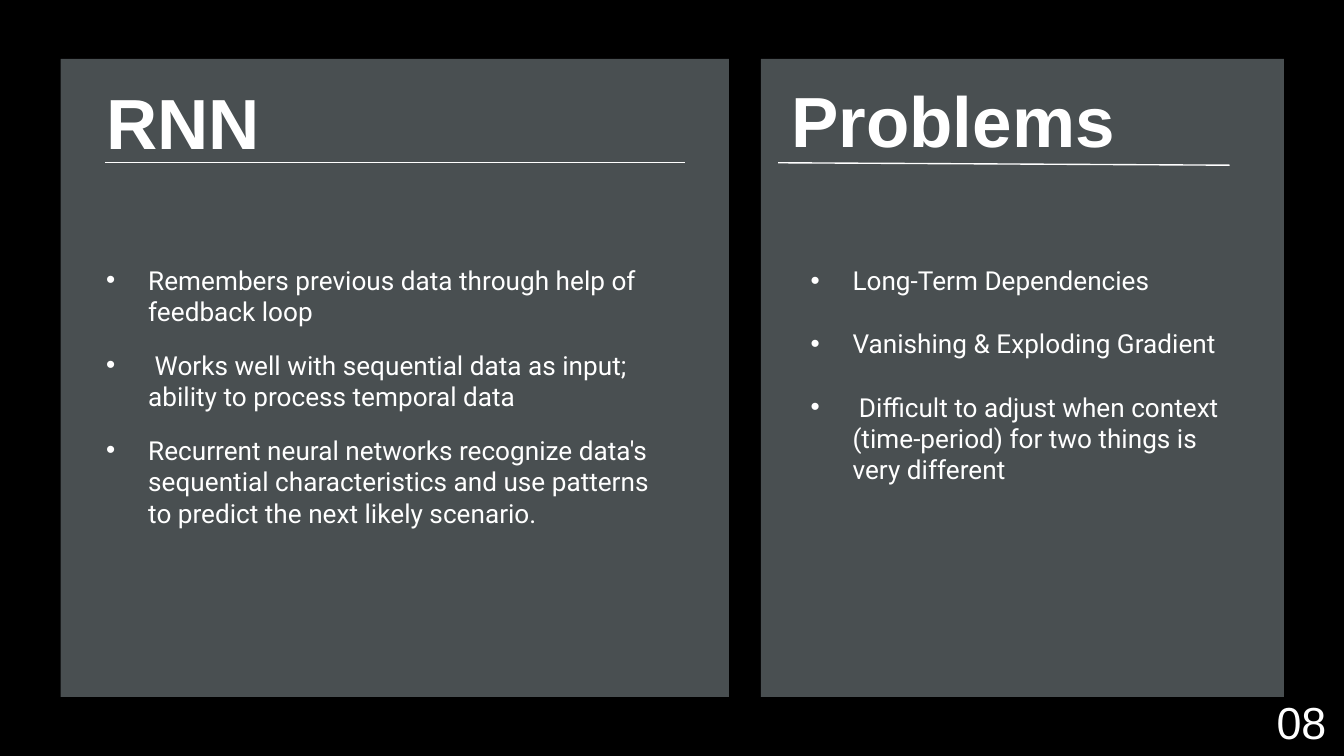
from dataclasses import dataclass

from lxml.etree import SubElement
from pptx import Presentation
from pptx.dml.color import RGBColor
from pptx.enum.shapes import MSO_CONNECTOR, MSO_SHAPE
from pptx.enum.text import MSO_ANCHOR, MSO_AUTO_SIZE, PP_ALIGN
from pptx.oxml.ns import qn
from pptx.util import Pt


@dataclass(frozen=True)
class Theme:
    background: RGBColor = RGBColor(0x00, 0x00, 0x00)
    panel: RGBColor = RGBColor(0x49, 0x4F, 0x51)
    ink: RGBColor = RGBColor(0xFF, 0xFF, 0xFF)
    heading_font: str = "Arial"
    body_font: str = "Roboto"
    heading_size: int = 38
    body_size: int = 14
    number_size: int = 24


theme = Theme()


def write(box, *lines, place, font, size, bold=False, align=PP_ALIGN.LEFT,
          anchor=MSO_ANCHOR.BOTTOM, margins=(7.2, 0), gap=0, bullet=None):
    """Place a box (left, top, width, height) and fill it, one paragraph per line."""
    box.left, box.top, box.width, box.height = map(Pt, place)
    frame = box.text_frame
    frame.auto_size = MSO_AUTO_SIZE.NONE
    frame.word_wrap = True
    frame.vertical_anchor = anchor
    frame.margin_left = frame.margin_right = Pt(margins[0])
    frame.margin_top = frame.margin_bottom = Pt(margins[1])
    for index, line in enumerate(lines):
        para = frame.add_paragraph() if index else frame.paragraphs[0]
        para.alignment = align
        para.space_before = Pt(gap if index else 0)
        if bullet:
            properties = para._p.get_or_add_pPr()
            properties.set("marL", str(Pt(22.5)))
            properties.set("indent", str(-Pt(22.5)))
            color = SubElement(properties, qn("a:buClr"))
            SubElement(color, qn("a:srgbClr"), val=str(theme.ink))
            SubElement(properties, qn("a:buFont"), typeface=theme.heading_font)
            SubElement(properties, qn("a:buChar"), char=bullet)
        span = para.add_run()
        span.text = line
        span.font.name = font
        span.font.size = Pt(size)
        span.font.bold = bold
        span.font.color.rgb = theme.ink


deck = Presentation()
deck.slide_width, deck.slide_height = Pt(720), Pt(405)
page = deck.slides.add_slide(deck.slide_layouts.get_by_name("Two Content"))
page.background.fill.solid()
page.background.fill.fore_color.rgb = theme.background
title, left_list, right_list = page.placeholders

# Panels, behind the placeholders
for left, width in ((32.5, 358), (407.6, 280.2)):
    panel = page.shapes.add_shape(
        MSO_SHAPE.RECTANGLE, Pt(left), Pt(31.6), Pt(width), Pt(341.8))
    panel.shadow.inherit = False
    panel.fill.solid()
    panel.fill.fore_color.rgb = theme.panel
    panel.line.fill.background()
    title.element.addprevious(panel.element)

# Headings
problems = page.shapes.add_textbox(0, 0, 0, 0)
for box, text, left, top in ((title, "RNN", 49.7, 40),
                             (problems, "Problems", 416.9, 39.2)):
    write(box, text, place=(left, top, 333.4, 47.5), bold=True,
          font=theme.heading_font, size=theme.heading_size)

# Rules under the headings
for start, end, end_y in ((56.2, 367.2, 87.2), (416.9, 658.8, 88.5)):
    rule = page.shapes.add_connector(
        MSO_CONNECTOR.STRAIGHT, Pt(start), Pt(87.2), Pt(end), Pt(end_y))
    rule.line.color.rgb = theme.ink
    rule.line.width = Pt(0.75)
    SubElement(rule.element.spPr, qn("a:effectLst"))

# Lists
list_format = dict(font=theme.body_font, size=theme.body_size,
                   anchor=MSO_ANCHOR.TOP, bullet="•")
write(left_list,
      "Remembers previous data through help of feedback loop",
      " Works well with sequential data as input; ability to process temporal data",
      "Recurrent neural networks recognize data's sequential characteristics "
      "and use patterns to predict the next likely scenario.",
      place=(49.7, 141.4, 317.5, 220), gap=12, **list_format)
write(right_list,
      "Long-Term Dependencies",
      "Vanishing & Exploding Gradient",
      " Difficult to adjust when context (time-period) for two things is very different",
      place=(427, 138.2, 249.1, 126), gap=17, margins=(7.2, 3.6), **list_format)

# Page number
write(page.shapes.add_textbox(0, 0, 0, 0), "08", place=(670.3, 373, 43.2, 28.1),
      font=theme.heading_font, size=theme.number_size,
      align=PP_ALIGN.RIGHT, margins=(2.9, 0))

deck.save("out.pptx")
